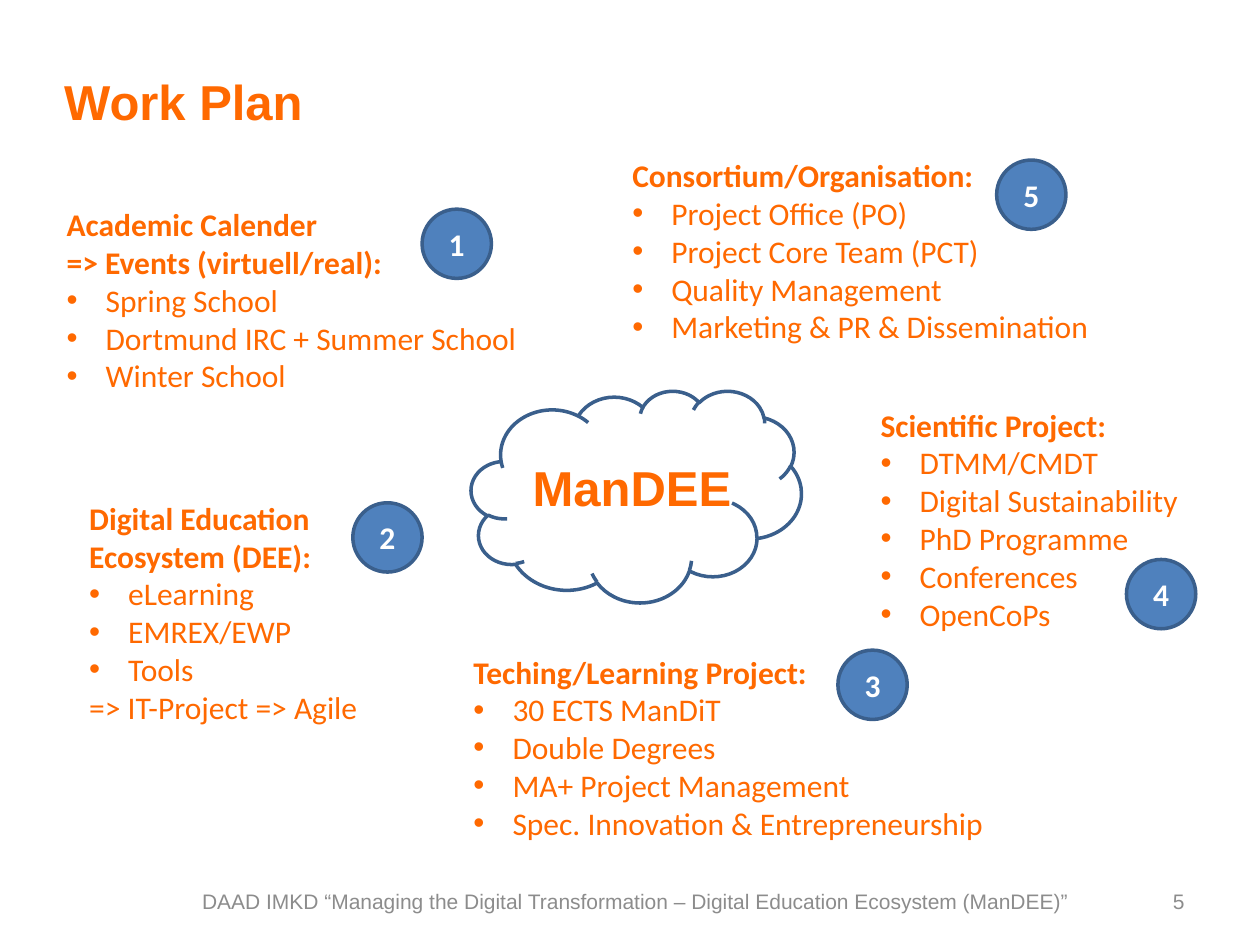
from dataclasses import dataclass

from lxml import etree
from pptx import Presentation
from pptx.dml.color import RGBColor
from pptx.enum import shapes, text
from pptx.oxml import ns
from pptx.util import Inches, Pt


@dataclass(frozen=True)
class Theme:
    orange: RGBColor = RGBColor(0xFF, 0x69, 0x00)
    blue: RGBColor = RGBColor(0x4F, 0x81, 0xBD)
    edge: RGBColor = RGBColor(0x3A, 0x5F, 0x8C)
    grey: RGBColor = RGBColor(0x8C, 0x8C, 0x8C)
    white: RGBColor = RGBColor(0xFF, 0xFF, 0xFF)
    head: str = "Arial"
    body: str = "Calibri"
    large: int = 28
    normal: int = 18
    small: int = 12
    line: int = 2


THEME = Theme()
LEFT, MID, RIGHT = text.PP_ALIGN.LEFT, text.PP_ALIGN.CENTER, text.PP_ALIGN.RIGHT
BADGE = 0.55
INDENT = Inches(0.31)

# number, badge place, box, heading lines, bullets, closing lines
TOPICS = [
    (1, (3.35, 1.66), (0.43, 1.58, 3.82, 1.62),
     ["Academic Calender", "=> Events (virtuell/real):"],
     ["Spring School", "Dortmund IRC + Summer School", "Winter School"], []),
    (2, (2.8, 3.99), (0.61, 3.91, 2.36, 1.92),
     ["Digital Education", "Ecosystem (DEE):"],
     ["eLearning", "EMREX/EWP", "Tools"], ["=> IT-Project => Agile"]),
    (3, (6.65, 5.16), (3.66, 5.13, 4.3, 1.62),
     ["Teching/Learning Project:"],
     ["30 ECTS ManDiT", "Double Degrees", "MA+ Project Management",
      "Spec. Innovation & Entrepreneurship"], []),
    (4, (8.94, 4.44), (6.89, 3.17, 2.6, 1.92),
     ["Scientific Project:"],
     ["DTMM/CMDT", "Digital Sustainability", "PhD Programme",
      "Conferences", "OpenCoPs"], []),
    (5, (7.91, 1.27), (4.92, 1.19, 3.86, 1.62),
     ["Consortium/Organisation:"],
     ["Project Office (PO)", "Project Core Team (PCT)",
      "Quality Management", "Marketing & PR & Dissemination"], []),
]


def place(shape, box):
    shape.left, shape.top, shape.width, shape.height = map(Inches, box)


def add_run(para, words, size, font, color, bold=False):
    run = para.add_run()
    run.text = words
    run.font.size = Pt(size)
    run.font.name = font
    run.font.bold = bold
    run.font.color.rgb = color


def add_bullet(para):
    props = para._p.get_or_add_pPr()
    props.set("marL", str(INDENT))
    props.set("indent", str(-INDENT))
    font = etree.SubElement(props, ns.qn("a:buFont"))
    font.set("typeface", THEME.head)
    etree.SubElement(props, ns.qn("a:buChar")).set("char", "•")


def fill_line(shape, words, size, font, color, bold=False, align=LEFT):
    """Put one vertically centred line of text in a shape."""
    frame = shape.text_frame
    frame.word_wrap = True
    frame.auto_size = text.MSO_AUTO_SIZE.NONE
    frame.vertical_anchor = text.MSO_ANCHOR.MIDDLE
    para = frame.paragraphs[0]
    para.alignment = align
    add_run(para, words, size, font, color, bold)


def add_label(slide, box, *style, **more):
    label = slide.shapes.add_textbox(*map(Inches, box))
    fill_line(label, *style, **more)


def add_shape(slide, kind, box, fill=None):
    shape = slide.shapes.add_shape(kind, *map(Inches, box))
    shape.shadow.inherit = False
    if fill is None:
        shape.fill.background()
    else:
        shape.fill.solid()
        shape.fill.fore_color.rgb = fill
    shape.line.color.rgb = THEME.edge
    shape.line.width = Pt(THEME.line)
    return shape


def add_list(slide, box, heads, items, tail):
    frame = slide.shapes.add_textbox(*map(Inches, box)).text_frame
    frame.word_wrap = False
    frame.auto_size = text.MSO_AUTO_SIZE.SHAPE_TO_FIT_TEXT
    rows = [(words, True, False) for words in heads]
    rows += [(words, False, True) for words in items]
    rows += [(words, False, False) for words in tail]
    for i, (words, bold, dot) in enumerate(rows):
        para = frame.add_paragraph() if i else frame.paragraphs[0]
        if dot:
            add_bullet(para)
        add_run(para, words, THEME.normal, THEME.body, THEME.orange, bold)


def add_badge(slide, spot, number):
    badge = add_shape(slide, shapes.MSO_SHAPE.OVAL, (*spot, BADGE, BADGE), THEME.blue)
    fill_line(badge, str(number), THEME.normal, THEME.body, THEME.white,
              bold=True, align=MID)


def main():
    deck = Presentation()
    deck.slide_width, deck.slide_height = Inches(10), Inches(7.5)
    slide = deck.slides.add_slide(deck.slide_layouts[5])

    title = slide.shapes.title
    place(title, (0.41, 0.21, 7.18, 1.19))
    large = (THEME.large, THEME.head, THEME.orange)
    fill_line(title, "Work Plan", *large, bold=True)

    small = (THEME.small, THEME.head, THEME.grey)
    add_label(slide, (7.17, 6.95, 2.33, 0.4), "5", *small, align=RIGHT)
    add_label(slide, (1.46, 6.95, 7.17, 0.4),
              "DAAD IMKD “Managing the Digital Transformation – "
              "Digital Education Ecosystem (ManDEE)”", *small, align=MID)
    add_label(slide, (4.13, 3.58, 1.8, 0.57), "ManDEE", *large, bold=True)

    for number, spot, box, heads, items, tail in TOPICS:
        add_list(slide, box, heads, items, tail)
        add_badge(slide, spot, number)
    add_shape(slide, shapes.MSO_SHAPE.CLOUD, (3.74, 3.1, 2.62, 1.68))

    deck.save("out.pptx")


if __name__ == "__main__":
    main()
